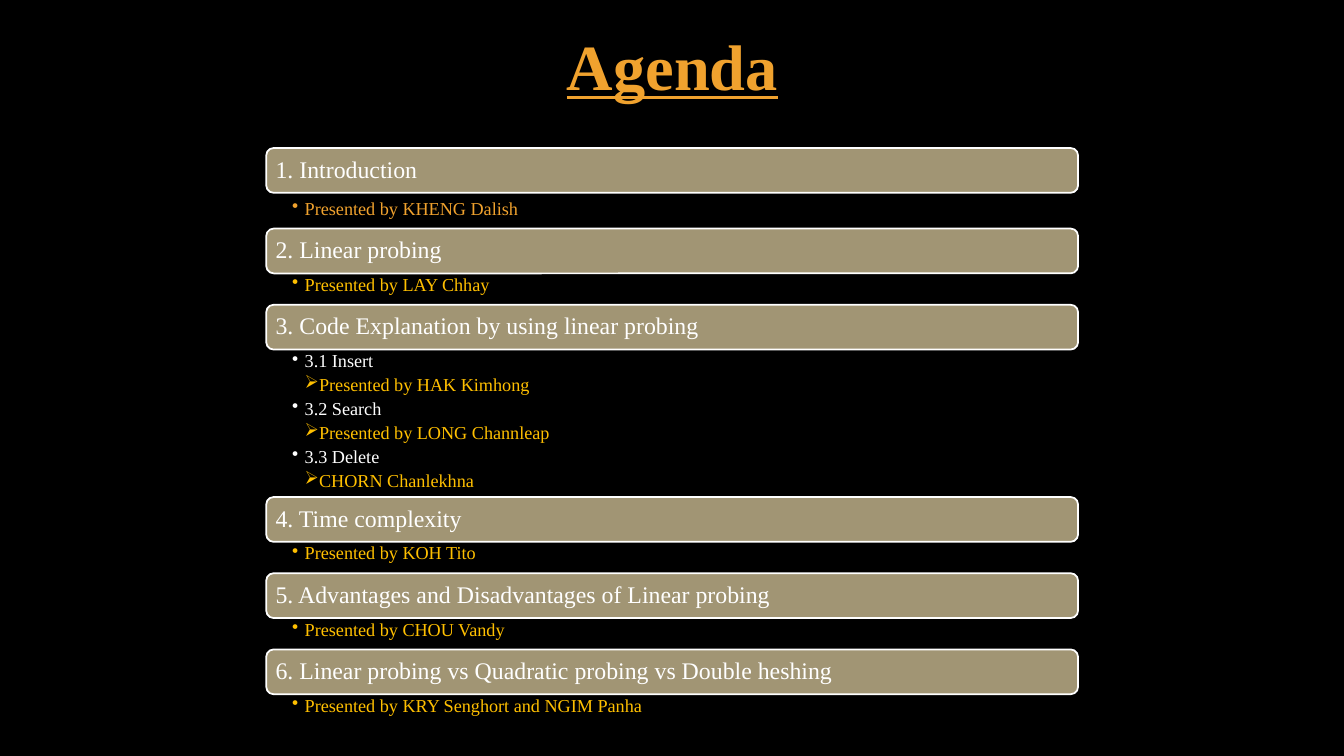
"""Build the agenda slide: six section bars, each with its presenters below."""
from dataclasses import dataclass

from lxml.etree import SubElement
from pptx import Presentation
from pptx.dml.color import RGBColor
from pptx.enum.shapes import MSO_SHAPE
from pptx.enum.text import MSO_ANCHOR, PP_ALIGN
from pptx.oxml.ns import qn
from pptx.util import Cm, Pt

TITLE = "Agenda"
POINT, PRESENTER = 1, 2
SECTIONS = [
    ("1. Introduction", [(POINT, "Presented by KHENG Dalish", "orange")]),
    ("2. Linear probing", [(POINT, "Presented by LAY Chhay", "gold")]),
    ("3. Code Explanation by using linear probing", [
        (POINT, "3.1 Insert", "white"),
        (PRESENTER, "Presented by HAK Kimhong", "gold"),
        (POINT, "3.2 Search", "white"),
        (PRESENTER, "Presented by LONG Channleap", "gold"),
        (POINT, "3.3 Delete", "white"),
        (PRESENTER, "CHORN Chanlekhna", "gold"),
    ]),
    ("4. Time complexity", [(POINT, "Presented by KOH Tito", "gold")]),
    ("5. Advantages and Disadvantages of Linear probing",
     [(POINT, "Presented by CHOU Vandy", "gold")]),
    ("6. Linear probing vs Quadratic probing vs Double heshing",
     [(POINT, "Presented by KRY Senghort and NGIM Panha", "gold")]),
]
BULLETS = {POINT: "•", PRESENTER: "➢"}


@dataclass(frozen=True)
class Theme:
    """Colours, font and type sizes of the slide."""
    black: str = "000000"
    white: str = "FFFFFF"
    orange: str = "F0A22E"
    gold: str = "FFC000"
    tan: str = "A19574"
    font: str = "Times New Roman"
    title_size: int = 46
    heading_size: int = 17
    detail_size: int = 13

    def rgb(self, name):
        """Return the named colour."""
        return RGBColor.from_string(getattr(self, name))


THEME = Theme()
LEFT, TOP, WIDTH = 6.71, 3.73, 20.46
BAR_HEIGHT, DETAIL_HEIGHT, LINE_HEIGHT = 1.13, 0.79, 0.585
FIRST_GAP = 0.11
INDENT = 0.32


def set_frame(frame, anchor, left, top, right, bottom):
    """Set wrapping, anchor and margins of a text frame."""
    frame.word_wrap = True
    frame.vertical_anchor = anchor
    frame.margin_left, frame.margin_top = Cm(left), Cm(top)
    frame.margin_right, frame.margin_bottom = Cm(right), Cm(bottom)


def write(paragraph, text, size, color, after=0, align=PP_ALIGN.LEFT):
    """Fill and style a paragraph."""
    paragraph.text = text
    paragraph.alignment = align
    paragraph.line_spacing = 0.9
    paragraph.space_after = Pt(after)
    paragraph.font.name = THEME.font
    paragraph.font.size = Pt(size)
    paragraph.font.color.rgb = THEME.rgb(color)


def add_bullet(paragraph, level):
    """Give a paragraph the hanging bullet of its level."""
    paragraph.level = level
    properties = paragraph._p.get_or_add_pPr()
    properties.set("marL", str(Cm(INDENT * level)))
    properties.set("indent", str(-Cm(INDENT)))
    SubElement(properties, qn("a:buChar")).set("char", BULLETS[level])


def add_title(slide):
    """Add the underlined title."""
    title = slide.shapes.add_textbox(Cm(2.57), Cm(0), Cm(28.75), Cm(3.51))
    set_frame(title.text_frame, MSO_ANCHOR.MIDDLE, 0.25, 0.13, 0.25, 0.13)
    paragraph = title.text_frame.paragraphs[0]
    write(paragraph, TITLE, THEME.title_size, "orange", align=PP_ALIGN.CENTER)
    paragraph.font.bold = True
    paragraph.font.underline = True


def add_heading(slide, heading, top):
    """Add a section bar."""
    bar = slide.shapes.add_shape(MSO_SHAPE.ROUNDED_RECTANGLE, Cm(LEFT), Cm(top),
                                 Cm(WIDTH), Cm(BAR_HEIGHT))
    bar.shadow.inherit = False
    bar.fill.solid()
    bar.fill.fore_color.rgb = THEME.rgb("tan")
    bar.line.color.rgb = THEME.rgb("white")
    bar.line.width = Pt(1.25)
    set_frame(bar.text_frame, MSO_ANCHOR.MIDDLE, 0.18, 0.18, 0.18, 0.18)
    write(bar.text_frame.paragraphs[0], heading, THEME.heading_size, "white", after=6)


def add_details(slide, details, top, height):
    """Add the bulleted lines under a section bar."""
    box = slide.shapes.add_textbox(Cm(LEFT), Cm(top), Cm(WIDTH), Cm(height))
    frame = box.text_frame
    set_frame(frame, MSO_ANCHOR.TOP, 0.65, 0.06, 0.33, 0.06)
    for index, (level, text, color) in enumerate(details):
        paragraph = frame.add_paragraph() if index else frame.paragraphs[0]
        add_bullet(paragraph, level)
        write(paragraph, text, THEME.detail_size, color, after=3)


def main():
    """Build and save the slide."""
    deck = Presentation()
    deck.slide_width, deck.slide_height = Cm(33.87), Cm(19.05)
    slide = deck.slides.add_slide(deck.slide_layouts[6])
    slide.background.fill.solid()
    slide.background.fill.fore_color.rgb = THEME.rgb("black")
    add_title(slide)
    top = TOP
    for index, (heading, details) in enumerate(SECTIONS):
        add_heading(slide, heading, top)
        top += BAR_HEIGHT + (0 if index else FIRST_GAP)
        height = DETAIL_HEIGHT + LINE_HEIGHT * (len(details) - 1)
        add_details(slide, details, top, height)
        top += height
    deck.save("out.pptx")


if __name__ == "__main__":
    main()
